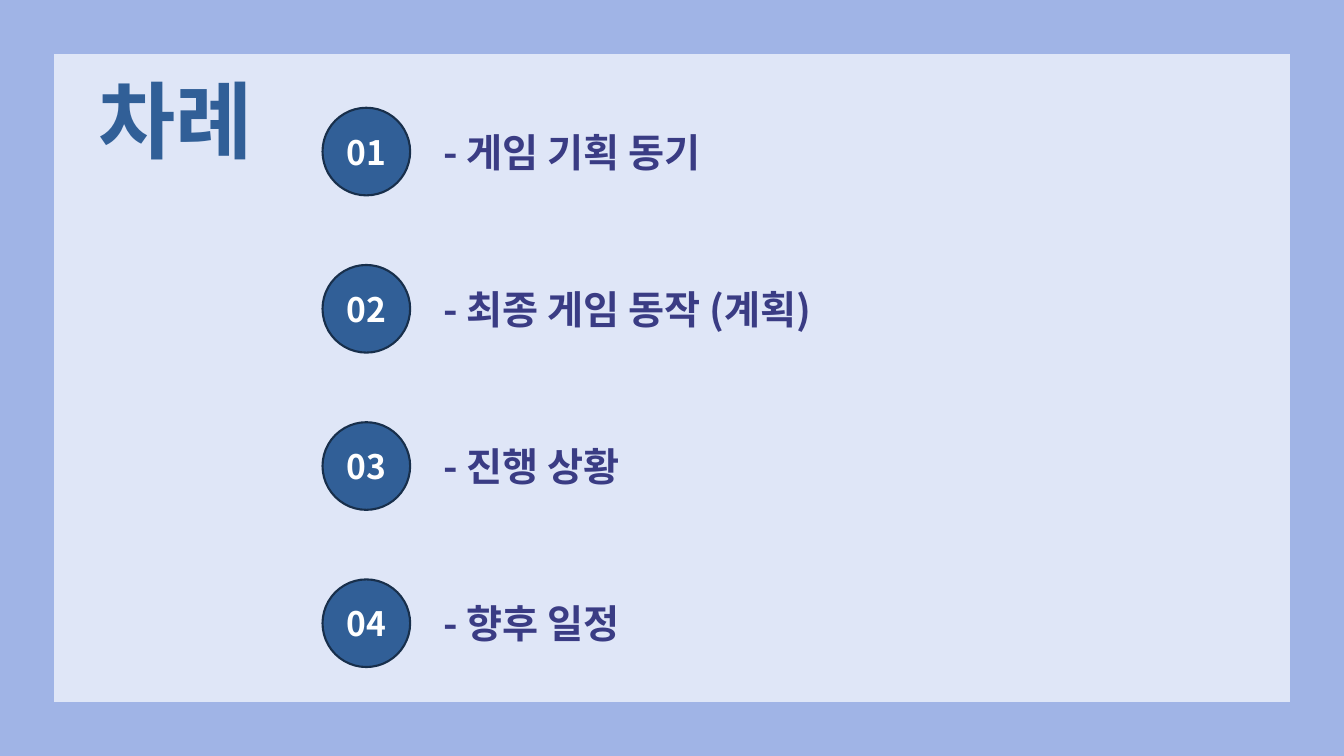
from lxml.etree import SubElement
from pptx import Presentation
from pptx.dml.color import RGBColor
from pptx.enum.shapes import MSO_SHAPE
from pptx.enum.text import MSO_ANCHOR, MSO_AUTO_SIZE, PP_ALIGN
from pptx.oxml.ns import qn
from pptx.util import Pt

TITLE = "차례"
ITEMS = ["게임 기획 동기", "최종 게임 동작 (계획)", "진행 상황", "향후 일정"]

FONT = "Noto Sans CJK KR"
PALE = RGBColor(0xDF, 0xE6, 0xF7)
FRAME = RGBColor(0xA0, 0xB4, 0xE6)
BLUE = RGBColor(0x31, 0x5F, 0x97)
NAVY = RGBColor(0x18, 0x2F, 0x4B)
INDIGO = RGBColor(0x3A, 0x3C, 0x84)
WHITE = RGBColor(0xFF, 0xFF, 0xFF)

WIDTH, HEIGHT, BORDER = 960, 540, 37.5
CIRCLE_LEFT, CIRCLE_TOP, CIRCLE = 230.4, 77, 62.6
ITEM_LEFT, ITEM_WIDTH, ITEM_HEIGHT = 309.6, 419.8, 41
PITCH = 112.3


def set_text(shape, text, size, color, align=PP_ALIGN.LEFT):
    tf = shape.text_frame
    tf.word_wrap = True
    tf.auto_size = MSO_AUTO_SIZE.NONE
    tf.vertical_anchor = MSO_ANCHOR.MIDDLE
    p = tf.paragraphs[0]
    p.alignment = align
    r = p.add_run()
    r.text = text
    r.font.size = Pt(size)
    r.font.bold = True
    r.font.name = FONT
    r.font.color.rgb = color
    SubElement(r.font._element, qn("a:ea"), typeface=FONT)
    return tf


def add_filled(s, kind, box, fill, line):
    sp = s.shapes.add_shape(kind, *map(Pt, box))
    sp.shadow.inherit = False
    sp.fill.solid()
    sp.fill.fore_color.rgb = fill
    sp.line.color.rgb = line
    sp.line.width = Pt(1.5)
    return sp


def main():
    prs = Presentation()
    prs.slide_width, prs.slide_height = Pt(WIDTH), Pt(HEIGHT)
    s = prs.slides.add_slide(prs.slide_layouts[5])
    s.background.fill.solid()
    s.background.fill.fore_color.rgb = PALE

    for box in [
        (0, 0, BORDER, HEIGHT),
        (WIDTH - BORDER, 0, BORDER, HEIGHT),
        (0, 0, WIDTH, BORDER),
        (0, HEIGHT - BORDER, WIDTH, BORDER),
    ]:
        add_filled(s, MSO_SHAPE.RECTANGLE, box, FRAME, FRAME)

    title = s.shapes.title
    title.left, title.top = Pt(BORDER), Pt(BORDER)
    title.width, title.height = Pt(175.7), Pt(95)
    set_text(title, TITLE, 60, BLUE, PP_ALIGN.CENTER)

    for i, item in enumerate(ITEMS):
        top = CIRCLE_TOP + i * PITCH
        circle = add_filled(s, MSO_SHAPE.OVAL,
                            (CIRCLE_LEFT, top, CIRCLE, CIRCLE), BLUE, NAVY)
        tf = set_text(circle, f"{i + 1:02}", 24, WHITE, PP_ALIGN.CENTER)
        tf.margin_left = tf.margin_right = 0
        item_top = top + (CIRCLE - ITEM_HEIGHT) / 2
        label = s.shapes.add_textbox(Pt(ITEM_LEFT), Pt(item_top),
                                     Pt(ITEM_WIDTH), Pt(ITEM_HEIGHT))
        set_text(label, f"- {item}", 28, INDIGO)

    prs.save("out.pptx")


if __name__ == "__main__":
    main()
